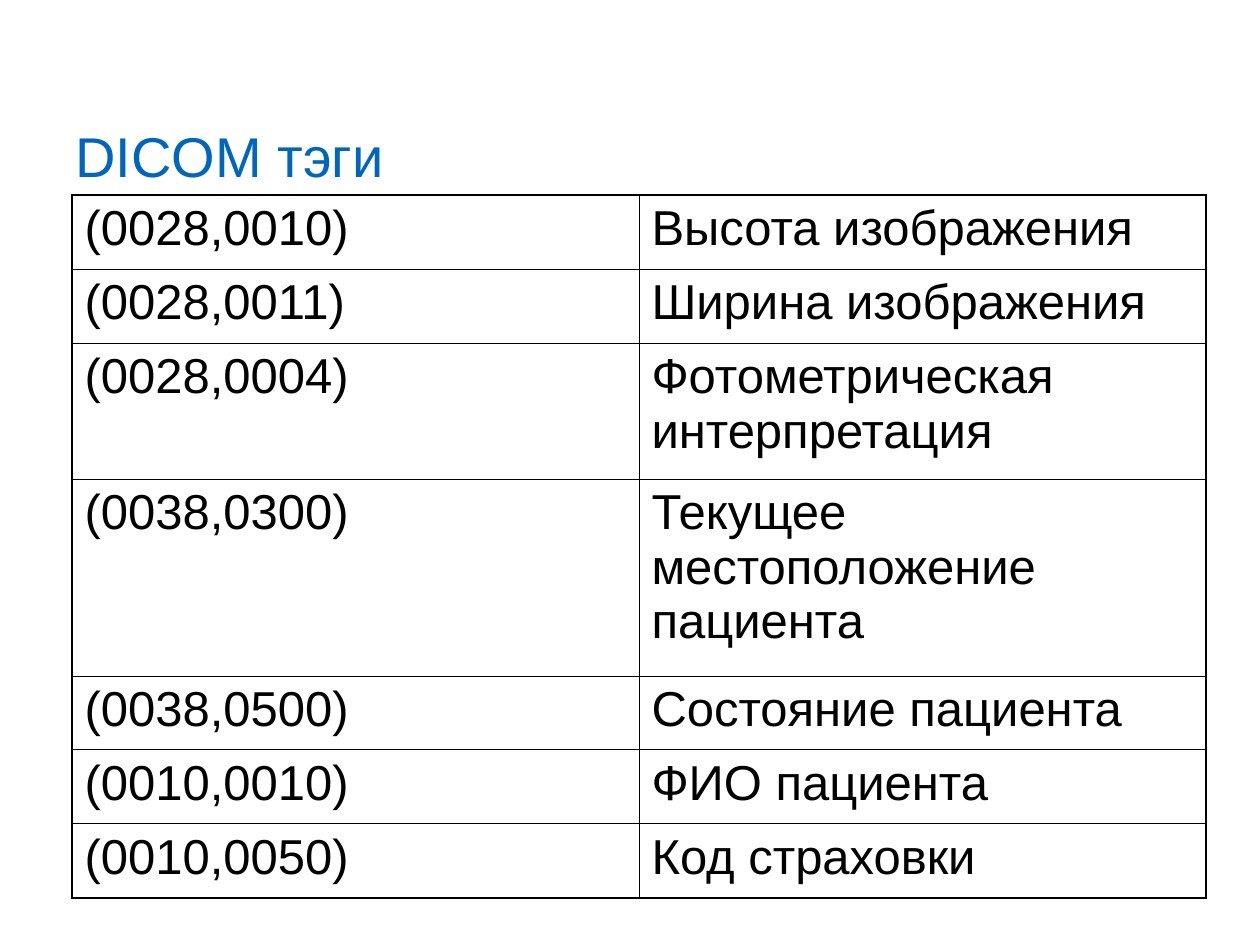
from lxml import etree
from pptx import Presentation
from pptx.dml.color import RGBColor
from pptx.enum.text import MSO_ANCHOR
from pptx.oxml.ns import qn
from pptx.util import Emu, Pt

MIDDLE = MSO_ANCHOR.MIDDLE
EMU_PER_PX = 914400 / 126
THIN, THICK = 0.45, 1.08

TAGS = [
    ("(0028,0010)", "Высота изображения", 74),
    ("(0028,0011)", "Ширина изображения", 74),
    ("(0028,0004)", "Фотометрическая интерпретация", 136),
    ("(0038,0300)", "Текущее местоположение пациента", 197),
    ("(0038,0500)", "Состояние пациента", 74),
    ("(0010,0010)", "ФИО пациента", 74),
    ("(0010,0050)", "Код страховки", 74),
]


def px(length):
    return Emu(round(length * EMU_PER_PX))


def color(value):
    return RGBColor.from_string(value)


class TagSlide:
    font = "Arial"
    title_color = "0065BD"
    ink = "000000"

    def __init__(self, presentation):
        self.slide = presentation.slides.add_slide(presentation.slide_layouts[6])

    def set_text(self, frame, text, size, ink):
        frame.text = text
        frame.word_wrap = True
        font = frame.paragraphs[0].runs[0].font
        font.name = self.font
        font.size = Pt(size)
        font.color.rgb = color(ink)

    def title(self, text, left, top, width, height):
        frame = self.slide.shapes.add_textbox(
            px(left), px(top), px(width), px(height)).text_frame
        self.set_text(frame, text, 32, self.title_color)
        frame.vertical_anchor = MIDDLE

    def border(self, cell, side, points):
        properties = cell._tc.get_or_add_tcPr()
        line = etree.SubElement(properties, qn(f"a:ln{side}"), w=str(Pt(points)))
        fill = etree.SubElement(line, qn("a:solidFill"))
        etree.SubElement(fill, qn("a:srgbClr"), val=self.ink)

    def table(self, rows, left, top, column_width):
        heights = [height for *_, height in rows]
        table = self.slide.shapes.add_table(
            len(rows), 2, px(left), px(top), px(2 * column_width), px(sum(heights))).table
        table.first_row = False
        table.horz_banding = False
        for column in table.columns:
            column.width = px(column_width)
        last = len(rows) - 1
        for r, (tag, meaning, height) in enumerate(rows):
            table.rows[r].height = px(height)
            for c, text in enumerate((tag, meaning)):
                cell = table.cell(r, c)
                self.set_text(cell.text_frame, text, 28, self.ink)
                cell.text_frame.paragraphs[0].space_before = Pt(7)
                outer = {"L": c == 0, "R": c == 1, "T": r == 0, "B": r == last}
                for side, is_outer in outer.items():
                    self.border(cell, side, THICK if is_outer else THIN)
                cell.fill.background()


def main():
    presentation = Presentation()
    presentation.slide_width = px(1260)
    presentation.slide_height = px(945)
    slide = TagSlide(presentation)
    slide.title("DICOM тэги", 63, 115, 1134, 81)
    slide.table(TAGS, 72, 195, 567)
    presentation.save("out.pptx")


if __name__ == "__main__":
    main()
